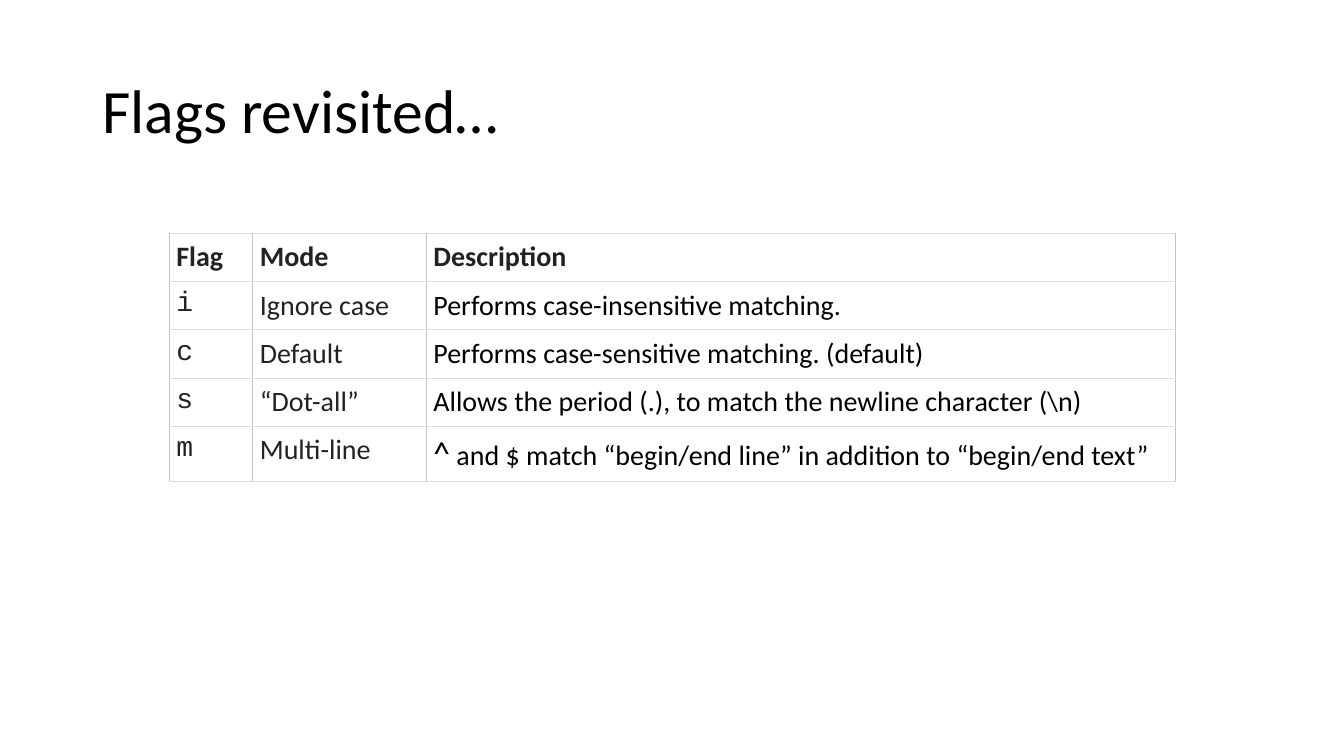
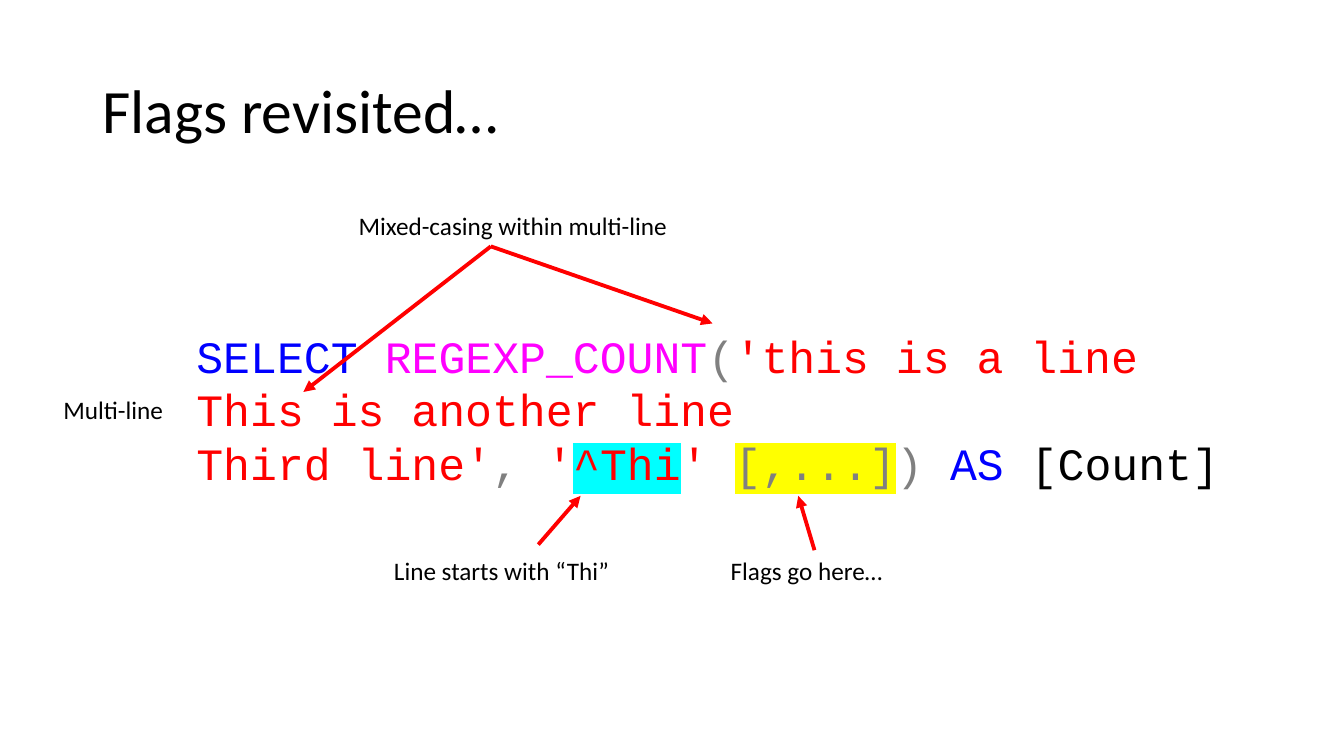
from pptx import Presentation
from pptx import util as u
from pptx.dml.color import RGBColor
from pptx.enum import shapes, text
from pptx.oxml import parse_xml
from pptx.oxml.ns import nsdecls

BLACK = RGBColor(0, 0, 0)
WHITE = RGBColor(255, 255, 255)
INK = RGBColor(0x22, 0x22, 0x22)
RED = RGBColor(255, 0, 0)
BLUE = RGBColor(0, 0, 255)
PINK = RGBColor(255, 0, 255)
GREY = RGBColor(0x80, 0x80, 0x80)
CYAN = RGBColor(0, 255, 255)
YELLOW = RGBColor(255, 255, 0)
SIDE = RGBColor(0xC3, 0xC3, 0xC3)
RULE = RGBColor(0xDD, 0xDD, 0xDD)

SANS, MONO = "Calibri", "Courier New"
TITLE = dict(name=SANS, size=u.Pt(44))
LABEL = dict(name=SANS, size=u.Pt(18))
CODE = dict(name=MONO, size=u.Pt(32))
CELL = dict(name=SANS, size=u.Pt(20), bold=False)
HEAD = CELL | dict(bold=True)
FLAG = CELL | dict(name=MONO)


def node(tag, body="", attrs=""):
    return parse_xml(f"<a:{tag} {nsdecls('a')} {attrs}>{body}</a:{tag}>")


def paint(color):
    return f'<a:srgbClr val="{color}"/>'


class Deck:
    """Holds the style and the slide being filled."""

    def __init__(self):
        self.prs = Presentation()
        self.prs.slide_width, self.prs.slide_height = u.Pt(960), u.Pt(540)
        self.slide = None

    def start(self, title):
        self.slide = self.prs.slides.add_slide(self.prs.slide_layouts[5])
        box = self.slide.shapes.title
        place = dict(left=66, top=28.8, width=828, height=104.4)
        for key, val in place.items():
            setattr(box, key, u.Pt(val))
        box.text_frame.vertical_anchor = text.MSO_ANCHOR.MIDDLE
        par = box.text_frame.paragraphs[0]
        par.alignment = text.PP_ALIGN.LEFT
        par.line_spacing = 0.9
        self.run(par, title, TITLE)

    def run(self, par, words, style, color=BLACK, mark=None):
        """Add a run; mark is its highlight colour."""
        run = par.add_run()
        run.text = words
        for key, val in style.items():
            setattr(run.font, key, val)
        run.font.color.rgb = color
        if mark is not None:
            fill = run.font.fill._xPr.find("{*}solidFill")
            fill.addnext(node("highlight", paint(mark)))

    def box(self, spot, lines, style):
        """Add a text box; each line is a list of (words, colour, mark)."""
        box = self.slide.shapes.add_textbox(*map(u.Pt, spot))
        frame = box.text_frame
        frame.word_wrap = True
        for i, line in enumerate(lines):
            par = frame.add_paragraph() if i else frame.paragraphs[0]
            for part in line:
                self.run(par, part[0], style, *part[1:])
        return box

    def label(self, left, top, width, words):
        return self.box((left, top, width, 29), [[(words,)]], LABEL)

    def arrow(self, start, end, source=None):
        """Draw an arrow, joined to the top of source if one is given."""
        line = self.slide.shapes.add_connector(
            shapes.MSO_CONNECTOR.STRAIGHT, *map(u.Pt, start + end))
        if source is not None:
            line.begin_connect(source, 0)
        line.line.color.rgb = RED
        line.line.width = u.Pt(2.75)
        line.line._get_or_add_ln().append(node("tailEnd", attrs='type="triangle"'))
        line._element.spPr.append(node("effectLst"))

    def table(self, left, top, widths, heights, rows):
        """Add a table; each cell is a list of (words, style, colour)."""
        grid = self.slide.shapes.add_table(
            len(rows), len(widths), u.Pt(left), u.Pt(top),
            u.Pt(sum(widths)), u.Pt(sum(heights))).table
        for col, width in zip(grid.columns, widths):
            col.width = u.Pt(width)
        for row, height, cells in zip(grid.rows, heights, rows):
            row.height = u.Pt(height)
            for cell, parts in zip(row.cells, cells):
                self.cell(cell, parts)

    def cell(self, cell, parts):
        for side in ("left", "top", "right", "bottom"):
            setattr(cell, f"margin_{side}", u.Pt(5))
        cell.fill.solid()
        cell.fill.fore_color.rgb = WHITE
        edges = dict(lnL=SIDE, lnR=SIDE, lnT=RULE, lnB=RULE)
        props = cell._tc.get_or_add_tcPr()
        for i, (tag, color) in enumerate(edges.items()):
            fill = f"<a:solidFill>{paint(color)}</a:solidFill>"
            props.insert(i, node(tag, fill, f'w="{u.Pt(0.75)}"'))
        for part in parts:
            self.run(cell.text_frame.paragraphs[0], *part)


def flags(deck):
    deck.start("Flags revisited…")
    modes = [
        ("i", "Ignore case", "Performs case-insensitive matching."),
        ("c", "Default", "Performs case-sensitive matching. (default)"),
        ("s", "“Dot-all”",
         "Allows the period (.), to match the newline character (\\n)"),
        ("m", "Multi-line",
         " and $ match “begin/end line” in addition to “begin/end text”"),
    ]
    rows = [[[(word, HEAD, INK)] for word in ("Flag", "Mode", "Description")]]
    for flag, mode, note in modes:
        rows.append([[(flag, FLAG, INK)], [(mode, CELL, INK)], [(note, CELL)]])
    rows[-1][-1].insert(0, ("^", CELL | dict(size=u.Pt(24))))
    deck.table(121, 166.5, (59.6, 124, 535), (34, 34, 34, 34, 38), rows)


def count(deck):
    deck.start("Flags revisited…")
    deck.box((133.2, 231, 751, 124), [
        [("SELECT", BLUE), (" ",), ("REGEXP_COUNT", PINK), ("(", GREY),
         ("'this is a line", RED)],
        [("This is another line", RED)],
        [("Third line'", RED), (",", GREY), (" ",), ("'", RED),
         ("^Thi", RED, CYAN), ("' ", RED), ("[,...]", GREY, YELLOW),
         (")", GREY), (" ",), ("AS", BLUE), (" [Count]",)],
    ], CODE)
    deck.label(249, 147, 248.4, "Mixed-casing within multi-line")
    for end in ((509, 231), (216.7, 280)):
        deck.arrow((350.6, 176), end)
    deck.label(38.2, 278, 95.8, "Multi-line")
    deck.label(274.3, 393, 182, "Line starts with “Thi”")
    deck.arrow((384.5, 389), (414.7, 354.2))
    flag = deck.label(514.8, 393, 134, "Flags go here…")
    deck.arrow((581.8, 393), (570.2, 354.2), flag)


def main():
    deck = Deck()
    flags(deck)
    count(deck)
    deck.prs.save("out.pptx")


if __name__ == "__main__":
    main()
